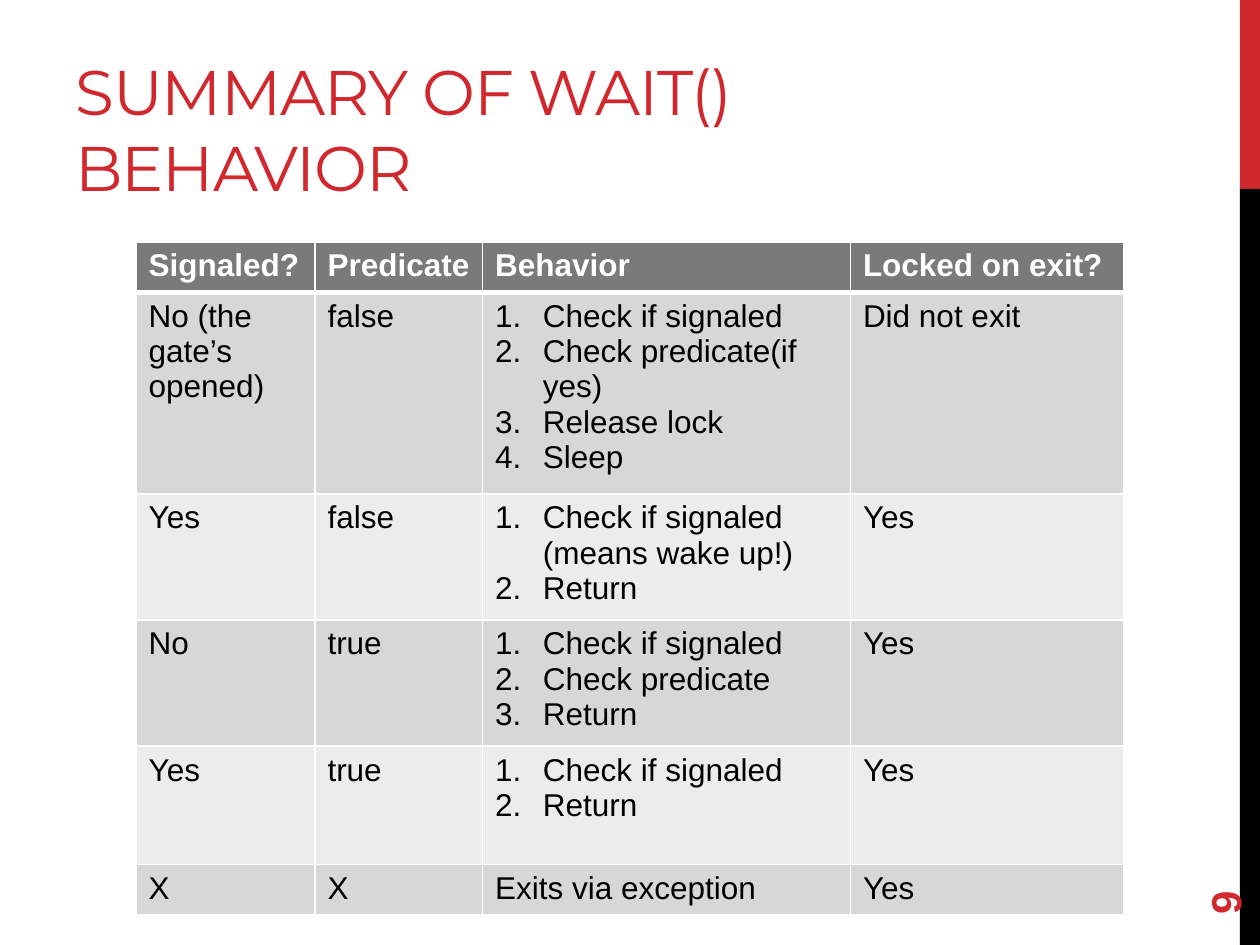
from lxml import etree
from pptx import Presentation
from pptx.dml.color import RGBColor
from pptx.enum.shapes import MSO_SHAPE
from pptx.enum.text import MSO_ANCHOR
from pptx.oxml.ns import qn
from pptx.util import Inches, Pt

RECT = MSO_SHAPE.RECTANGLE
BOTTOM, MIDDLE = MSO_ANCHOR.BOTTOM, MSO_ANCHOR.MIDDLE
RED = RGBColor(0xD1, 0x28, 0x2E)
BLACK = RGBColor(0, 0, 0)
WHITE = RGBColor(0xFF, 0xFF, 0xFF)
HEAD = RGBColor(0x7A, 0x7A, 0x7A)
DARK = RGBColor(0xD7, 0xD7, 0xD7)
LIGHT = RGBColor(0xEC, 0xEC, 0xEC)

# A list in a cell becomes numbered steps.
ROWS = [
    ["Signaled?", "Predicate", "Behavior", "Locked on exit?"],
    ["No (the gate’s opened)", "false",
     ["Check if signaled", "Check predicate(if yes)", "Release lock", "Sleep"],
     "Did not exit"],
    ["Yes", "false", ["Check if signaled (means wake up!)", "Return"], "Yes"],
    ["No", "true", ["Check if signaled", "Check predicate", "Return"], "Yes"],
    ["Yes", "true", ["Check if signaled", "Return"], "Yes"],
    ["X", "X", "Exits via exception", "Yes"],
]
WIDTHS = [1.42, 1.33, 2.92, 2.17]
HEIGHTS = [0.39, 1.5, 0.94, 0.94, 0.94, 0.4]


def style(par, name, size, color, bold=False):
    for run in par.runs:
        font = run.font
        font.name, font.size, font.bold = name, Pt(size), bold
        font.color.rgb = color


def edge(cell, side, width):
    """Draw a white border on one side (L, R, T or B) of a cell."""
    line = etree.SubElement(cell._tc.get_or_add_tcPr(), qn("a:ln" + side), w=str(Pt(width)))
    fill = etree.SubElement(line, qn("a:solidFill"))
    etree.SubElement(fill, qn("a:srgbClr"), val=str(WHITE))


prs = Presentation()
prs.slide_width, prs.slide_height = Inches(10), Inches(7.5)
slide = prs.slides.add_slide(prs.slide_layouts[6])
shapes = slide.shapes

# Side bar
for top, height, color in [(0, 1.5, RED), (1.5, 6, BLACK)]:
    bar = shapes.add_shape(RECT, Inches(9.84), Inches(top), Inches(0.16), Inches(height))
    bar.shadow.inherit = False
    bar.fill.solid()
    bar.fill.fore_color.rgb = color
    bar.line.fill.background()

# Title
title = shapes.add_textbox(Inches(0.5), Inches(0.17), Inches(6.33), Inches(1.5))
frame = title.text_frame
frame.word_wrap = True
frame.vertical_anchor = BOTTOM
frame.text = "SUMMARY OF WAIT() BEHAVIOR"
par = frame.paragraphs[0]
style(par, "Montserrat", 36, RED)
par.runs[0].font._element.set("spc", "-60")

# Table
table = shapes.add_table(len(ROWS), len(WIDTHS), Inches(1.08), Inches(1.92),
                         Inches(sum(WIDTHS)), Inches(sum(HEIGHTS))).table
for col, width in zip(table.columns, WIDTHS):
    col.width = Inches(width)
for r, (row, height) in enumerate(zip(ROWS, HEIGHTS)):
    table.rows[r].height = Inches(height)
    for c, entry in enumerate(row):
        cell = table.cell(r, c)
        steps = isinstance(entry, list)
        cell.text_frame.text = "\n".join(entry) if steps else entry
        for par in cell.text_frame.paragraphs:
            style(par, "Arial", 18, BLACK if r else WHITE, r == 0)
            if steps:
                props = par._p.get_or_add_pPr()
                props.set("marL", str(Inches(0.38)))
                props.set("indent", str(-Inches(0.38)))
                etree.SubElement(props, qn("a:buFont"), typeface="+mj-lt")
                etree.SubElement(props, qn("a:buAutoNum"), type="arabicPeriod")
        for side in "LRTB":
            heavy = (r, side) in [(0, "B"), (1, "T")]
            edge(cell, side, 3 if heavy else 1)
        cell.fill.solid()
        cell.fill.fore_color.rgb = HEAD if r == 0 else DARK if r % 2 else LIGHT

# Page number
page = shapes.add_textbox(Inches(9), Inches(6.44), Inches(1.44), Inches(0.4))
page.rotation = 270
frame = page.text_frame
frame.word_wrap = True
frame.vertical_anchor = MIDDLE
frame.text = "9"
style(frame.paragraphs[0], "Arial", 24, RED, True)

prs.save("out.pptx")
